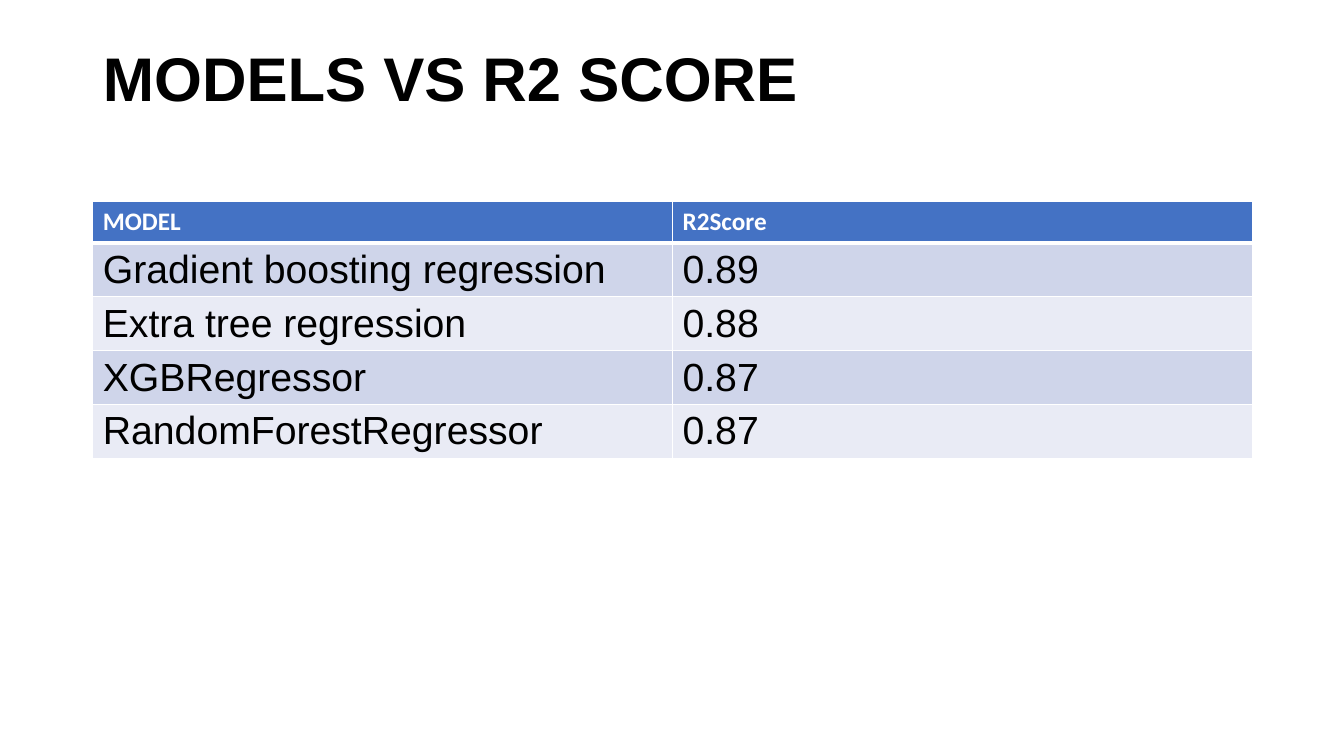
"""Build the slide that compares regression models by R2 score."""
from dataclasses import dataclass

from lxml.etree import SubElement
from pptx import Presentation
from pptx.dml.color import RGBColor
from pptx.enum.text import MSO_ANCHOR as Anchor, PP_ALIGN as Align
from pptx.oxml.ns import qn
from pptx.slide import Slide
from pptx.table import _Cell as Cell
from pptx.text.text import _Paragraph as Paragraph
from pptx.util import Inches, Pt

WHITE = RGBColor(0xFF, 0xFF, 0xFF)
BLACK = RGBColor(0x00, 0x00, 0x00)
BLUE = RGBColor(0x44, 0x72, 0xC4)
DARK_BAND = RGBColor(0xCF, 0xD5, 0xEA)
LIGHT_BAND = RGBColor(0xE9, 0xEB, 0xF5)

WIDTH, HEIGHT = Inches(13.33), Inches(7.5)
MARGIN = Inches(0.92)
CONTENT_WIDTH = Inches(11.5)
TITLE_TOP, TITLE_HEIGHT = Inches(0.4), Inches(1.45)
TABLE_TOP, ROW_HEIGHT = Inches(2), Inches(0.41)


@dataclass(frozen=True)
class TextStyle:
    """Font settings of one kind of text."""
    font: str
    size: int
    color: RGBColor
    bold: bool = False


@dataclass(frozen=True)
class Score:
    """One table row: a model and its score."""
    model: str
    value: str


TITLE = TextStyle("Arial", 44, BLACK, True)
HEADER = TextStyle("Calibri", 18, WHITE, True)
BODY = TextStyle("Arial", 28, BLACK)

SCORES = [
    Score("MODEL", "R2Score"),
    Score("Gradient boosting regression", "0.89"),
    Score("Extra tree regression", "0.88"),
    Score("XGBRegressor", "0.87"),
    Score("RandomForestRegressor", "0.87"),
]


def style_text(para: Paragraph, style: TextStyle) -> None:
    """Apply a text style to a left-aligned paragraph."""
    para.alignment = Align.LEFT
    para.font.name = style.font
    para.font.size = Pt(style.size)
    para.font.bold = style.bold
    para.font.color.rgb = style.color


def add_border(cell: Cell, side: str, points: int) -> None:
    """Draw a white border on one side of a cell."""
    line = SubElement(cell._tc.get_or_add_tcPr(), qn(f"a:ln{side}"), w=str(Pt(points)))
    SubElement(SubElement(line, qn("a:solidFill")), qn("a:srgbClr"), val=str(WHITE))


def fill_cell(cell: Cell, text: str, row: int) -> None:
    """Write and colour one cell according to its row."""
    cell.text = text
    style_text(cell.text_frame.paragraphs[0], BODY if row else HEADER)
    widths = {"L": 1, "R": 1, "T": 3 if row == 1 else 1, "B": 1 if row else 3}
    for side, points in widths.items():
        add_border(cell, side, points)
    cell.fill.solid()
    band = DARK_BAND if row % 2 else LIGHT_BAND
    cell.fill.fore_color.rgb = band if row else BLUE


def add_title(page: Slide, text: str) -> None:
    """Place and format the title placeholder."""
    box = page.shapes.title
    box.left, box.top = MARGIN, TITLE_TOP
    box.width, box.height = CONTENT_WIDTH, TITLE_HEIGHT
    frame = box.text_frame
    frame.text = text
    frame.word_wrap = True
    frame.vertical_anchor = Anchor.TOP
    frame.margin_top = Inches(0.08)
    para = frame.paragraphs[0]
    para.line_spacing = 0.9
    style_text(para, TITLE)


def add_scores(page: Slide, scores: list[Score]) -> None:
    """Add the table of models and scores."""
    table = page.shapes.add_table(
        len(scores), 2, MARGIN, TABLE_TOP, CONTENT_WIDTH, ROW_HEIGHT * len(scores)
    ).table
    for row, score in enumerate(scores):
        for column, text in enumerate((score.model, score.value)):
            fill_cell(table.cell(row, column), text, row)


def main() -> None:
    """Build and save the deck."""
    deck = Presentation()
    deck.slide_width, deck.slide_height = WIDTH, HEIGHT
    page = deck.slides.add_slide(deck.slide_layouts.get_by_name("Title Only"))
    add_title(page, "MODELS VS R2 SCORE")
    add_scores(page, SCORES)
    deck.save("out.pptx")


if __name__ == "__main__":
    main()
